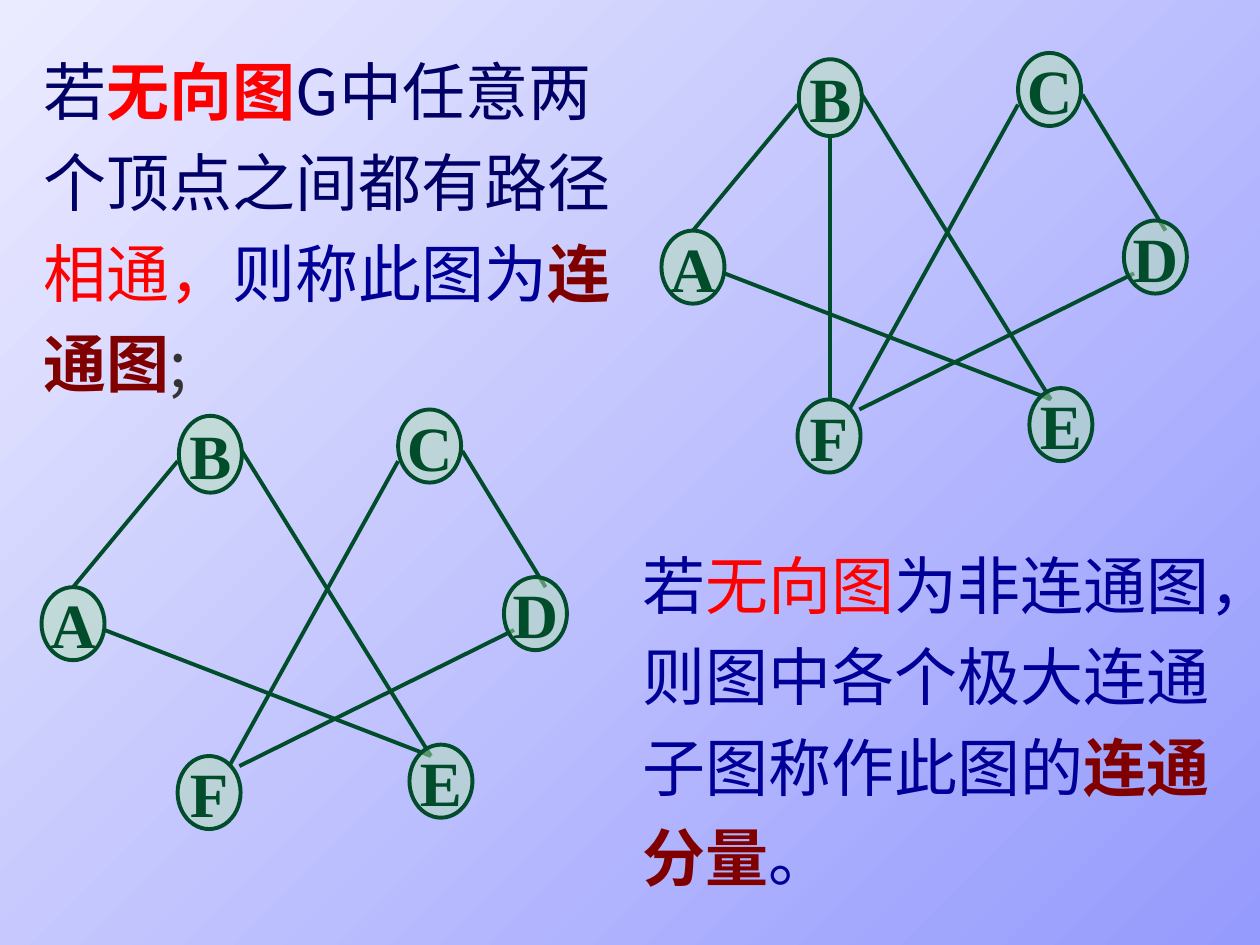
from lxml import etree
from pptx import Presentation
from pptx.dml.color import RGBColor
from pptx.enum.shapes import MSO_CONNECTOR, MSO_SHAPE
from pptx.enum.text import MSO_ANCHOR, MSO_AUTO_SIZE, PP_ALIGN
from pptx.oxml.ns import qn
from pptx.util import Inches, Pt

COLORS = {
    "bg_start": "EBEBFF", "bg_end": "959AFD",
    "navy": "000066", "blue": "000099", "red": "FF0000",
    "maroon": "800000", "gray": "333333",
    "node": "B3E1B3", "edge": "004C2B",
}
CJK, SERIF = "Noto Sans CJK SC", "Times New Roman"

# Definitions: left, top, latin font, runs of (text, color, bold)
DEFINITIONS = [
    (0.25, 0.25, CJK, [
        ("若", "navy", False),
        ("无向图", "red", True),
        ("G中任意两个顶点之间都有路径", "navy", False),
        ("相通，", "red", False),
        ("则称此图为", "blue", False),
        ("连通图", "maroon", True),
        (";", "gray", False),
    ]),
    (5, 4.17, SERIF, [
        ("若", "blue", False),
        ("无向图", "red", False),
        ("为非连通图，则图中各个极大连通子图称作此图的", "blue", False),
        ("连通分量", "maroon", True),
        ("。", "blue", False),
    ]),
]

# Graph: nodes as (label, left, top, height), edges as (x1, y1, x2, y2)
BACK_NODES = [("B", 6.34, 0.47, 0.61), ("A", 5.25, 1.83, 0.58)]
FRONT_NODES = [("C", 8.08, 0.42, 0.58), ("D", 8.92, 1.75, 0.58),
               ("F", 6.33, 3.17, 0.58), ("E", 8.17, 3.08, 0.58)]
SHARED_EDGES = [
    (6.33, 0.83, 5.5, 1.83),    # B-A
    (6.84, 0.75, 8.34, 3.17),   # B-E
    (5.75, 2.17, 8.34, 3.17),   # A-E
    (8.08, 0.83, 6.74, 3.25),   # C-F
    (8.59, 0.75, 9.25, 1.83),   # C-D
    (9, 2.17, 6.82, 3.25),      # D-F
]
BRIDGE = (6.59, 1.06, 6.59, 3.17)  # B-F, joins the two components
NODE_W = 0.5

# Each graph: x offset, y offset, edges
GRAPHS = [
    (0, 0, SHARED_EDGES + [BRIDGE]),
    (-4.92, 2.83, SHARED_EDGES),
]


def rgb(name):
    return RGBColor.from_string(COLORS[name])


def add_run(p, text, font, color, bold):
    r = p.add_run()
    r.text = text
    r.font.size = Pt(36)
    r.font.name = font
    r.font.bold = bold
    r.font.color.rgb = rgb(color)
    ea = etree.SubElement(r.font._element, qn("a:ea"))
    ea.set("typeface", CJK)


def add_definition(slide, left, top, font, runs):
    box = slide.shapes.add_textbox(Inches(left), Inches(top),
                                   Inches(4.75), Inches(2.98))
    tf = box.text_frame
    tf.word_wrap = True
    tf.auto_size = MSO_AUTO_SIZE.SHAPE_TO_FIT_TEXT
    p = tf.paragraphs[0]
    p.line_spacing = 1.2
    for text, color, bold in runs:
        add_run(p, text, font, color, bold)


def add_node(shapes, label, left, top, height):
    sp = shapes.add_shape(MSO_SHAPE.OVAL, Inches(left), Inches(top),
                          Inches(NODE_W), Inches(height))
    sp.shadow.inherit = False
    sp.fill.solid()
    sp.fill.fore_color.rgb = rgb("node")
    fill_color = sp._element.spPr.find(qn("a:solidFill"))[0]
    etree.SubElement(fill_color, qn("a:alpha")).set("val", "50000")
    sp.line.color.rgb = rgb("edge")
    sp.line.width = Pt(2.25)
    tf = sp.text_frame
    tf.word_wrap = False
    tf.vertical_anchor = MSO_ANCHOR.MIDDLE
    p = tf.paragraphs[0]
    p.alignment = PP_ALIGN.CENTER
    add_run(p, label, SERIF, "edge", True)


def add_edge(shapes, x1, y1, x2, y2):
    line = shapes.add_connector(MSO_CONNECTOR.STRAIGHT, Inches(x1), Inches(y1),
                                Inches(x2), Inches(y2))
    line.line.color.rgb = rgb("edge")
    line.line.width = Pt(2.25)
    etree.SubElement(line._element.spPr, qn("a:effectLst"))


def add_graph(slide, dx, dy, edges):
    shapes = slide.shapes.add_group_shape().shapes
    for label, x, y, h in BACK_NODES:
        add_node(shapes, label, x + dx, y + dy, h)
    for x1, y1, x2, y2 in edges:
        add_edge(shapes, x1 + dx, y1 + dy, x2 + dx, y2 + dy)
    for label, x, y, h in FRONT_NODES:
        add_node(shapes, label, x + dx, y + dy, h)


def main():
    prs = Presentation()
    prs.slide_width, prs.slide_height = Inches(10), Inches(7.5)
    s = prs.slides.add_slide(prs.slide_layouts[6])

    # Diagonal background gradient
    fill = s.background.fill
    fill.gradient()
    fill.gradient_angle = 315
    for stop, name in zip(fill.gradient_stops, ("bg_start", "bg_end")):
        stop.color.rgb = rgb(name)

    for definition in DEFINITIONS:
        add_definition(s, *definition)
    for graph in GRAPHS:
        add_graph(s, *graph)
    prs.save("out.pptx")


if __name__ == "__main__":
    main()
